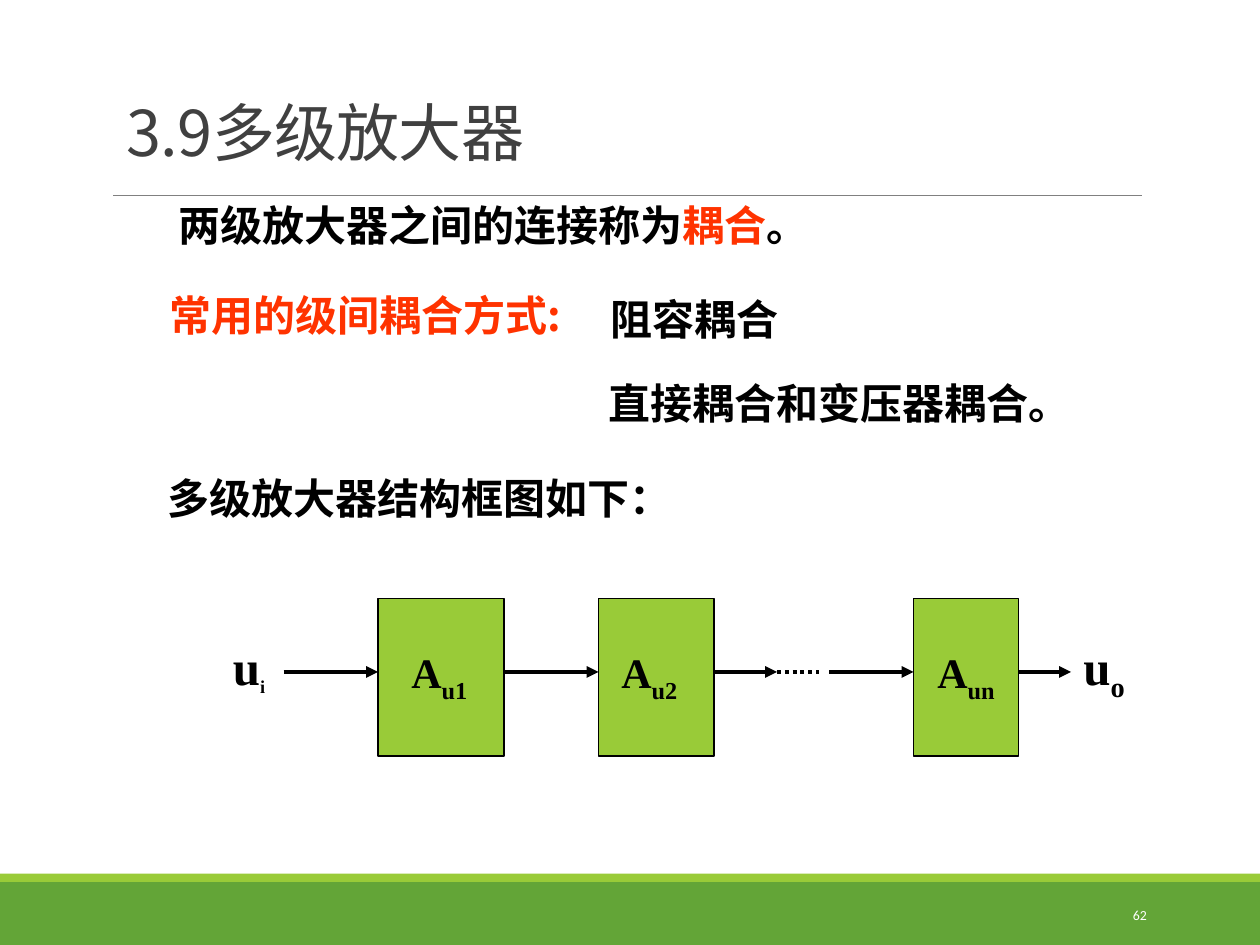
from dataclasses import dataclass

from lxml import etree
from pptx import Presentation
from pptx import util as u
from pptx.dml.color import RGBColor
from pptx.enum import dml, shapes, text
from pptx.oxml.ns import qn


@dataclass(frozen=True)
class Theme:
    cjk: str = "Noto Sans CJK SC"
    math: str = "Times New Roman"
    footer: str = "Calibri"
    ink: str = "000000"
    title: str = "404040"
    key: str = "FF3300"
    block: str = "99CB38"
    band: str = "63A537"
    rule: str = "808080"
    paper: str = "FFFFFF"
    title_pt: float = 36
    body_pt: float = 24
    signal_pt: float = 28
    small_pt: float = 18
    number_pt: float = 7.9


@dataclass(frozen=True)
class Box:
    """Area in grid columns and rows, twelve to the inch."""
    col: float
    row: float
    cols: float
    rows: float

    def area(self, col, row, cols, rows):
        return Box(self.col + col, self.row + row, cols, rows)

    def emu(self):
        return [u.Inches(v / 12) for v in (self.col, self.row, self.cols, self.rows)]


T = Theme()
PAGE = Box(0, 0, 120, 90)


def rgb(value):
    return RGBColor.from_string(value)


def style(r, font, size, color, bold=False):
    r.font.name, r.font.size, r.font.bold = font, u.Pt(size), bold
    r.font.color.rgb = rgb(color)
    ea = etree.Element(qn("a:ea"), typeface=font)
    r.font._element.find(qn("a:latin")).addnext(ea)


def add_rect(slide, box, fill, line=None):
    sp = slide.shapes.add_shape(shapes.MSO_SHAPE.RECTANGLE, *box.emu())
    sp.shadow.inherit = False
    sp.fill.solid()
    sp.fill.fore_color.rgb = rgb(fill)
    if line:
        sp.line.color.rgb = rgb(line)
        sp.line.width = u.Pt(0.75)
    else:
        sp.line.fill.background()


def add_line(slide, box, color, width, arrow=False, dash=None):
    x, y, w, h = box.emu()
    cn = slide.shapes.add_connector(shapes.MSO_CONNECTOR.STRAIGHT, x, y, x + w, y + h)
    cn.line.color.rgb = rgb(color)
    cn.line.width = u.Pt(width)
    if dash:
        cn.line.dash_style = dash
    props = cn._element.spPr
    if arrow:
        etree.SubElement(props.find(qn("a:ln")), qn("a:tailEnd"), type="triangle")
    etree.SubElement(props, qn("a:effectLst"))


def add_text(slide, box, runs, align=text.PP_ALIGN.LEFT, wrap=True, padded=True):
    """Each run is (text, font, size, color, bold); returns frame and runs."""
    tf = slide.shapes.add_textbox(*box.emu()).text_frame
    tf.word_wrap = wrap
    if not padded:
        tf.margin_left = tf.margin_top = tf.margin_right = tf.margin_bottom = 0
    p = tf.paragraphs[0]
    p.alignment = align
    for words, *look in runs:
        r = p.add_run()
        r.text = words
        style(r, *look)
    return tf, p.runs


def add_title(slide, box):
    title = slide.shapes.title
    title.left, title.top, title.width, title.height = box.emu()
    tf = title.text_frame
    tf.text = "3.9多级放大器"
    tf.vertical_anchor = text.MSO_ANCHOR.BOTTOM
    p = tf.paragraphs[0]
    p.alignment, p.line_spacing = text.PP_ALIGN.LEFT, 0.85
    style(p.runs[0], T.cjk, T.title_pt, T.title)
    p.runs[0].font._element.set("spc", "-40")


def add_footer(slide, box):
    add_rect(slide, box.area(0, 0.8, box.cols, 6), T.band)
    add_rect(slide, box.area(0, 0, box.cols, 0.8), T.block)
    tf, _ = add_text(slide, box.area(97.4, 1.5, 13, 4.8),
                     [("62", T.footer, T.number_pt, T.paper, False)],
                     text.PP_ALIGN.RIGHT)
    tf.vertical_anchor = text.MSO_ANCHOR.MIDDLE


def add_body(slide, box):
    lines = [
        ((2, 0, 60.6, 4.8), False,
         [("两级放大器之间的连接称为", T.ink), ("耦合", T.key), ("。", T.ink)]),
        ((0, 8, 40.8, 6), True, [("常用的级间耦合方式:", T.key)]),
        ((42, 8.4, 18.6, 6), True, [("阻容耦合", T.ink)]),
        ((43, 17, 44.4, 4.8), False, [("直接耦合和变压器耦合。", T.ink)]),
        ((1, 26, 48.5, 4.8), False, [("多级放大器结构框图如下：", T.ink)]),
    ]
    for place, padded, pieces in lines:
        runs = [(words, T.cjk, T.body_pt, color, True) for words, color in pieces]
        add_text(slide, box.area(*place), runs, wrap=False, padded=padded)


def add_symbol(slide, box, base, sub, size, sub_size=None, align=text.PP_ALIGN.LEFT):
    _, runs = add_text(slide, box, [(base, T.math, size, T.ink, True),
                                    (sub, T.math, sub_size or size, T.ink, True)], align)
    runs[1].font._element.set("baseline", "-25000")


def add_block_diagram(slide, box):
    left, centre = text.PP_ALIGN.LEFT, text.PP_ALIGN.CENTER
    stages = [  # block column and width, label offset and width
        ("u1", 15, 12, 2, 9, left),
        ("u2", 36, 11, 1, 10, left),
        ("un", 66, 10, 0, 10, centre),
    ]
    for sub, col, cols, shift, label_cols, align in stages:
        add_rect(slide, box.area(col, 0, cols, box.rows), T.block, T.ink)
        add_symbol(slide, box.area(col + shift, 4, label_cols, 6),
                   "A", sub, T.body_pt, align=align)

    for start, end in [(6, 15), (27, 36), (47, 53), (58, 66), (76, 81)]:
        add_line(slide, box.area(start, 7, end - start, 0), T.ink, 2.25, arrow=True)
    add_line(slide, box.area(53, 7, 4, 0), T.ink, 2.25,
             dash=dml.MSO_LINE.ROUND_DOT)

    add_symbol(slide, box.area(0, 3, 6, 6.8), "u", "i", T.signal_pt, T.small_pt)
    add_symbol(slide, box.area(81, 3, 8, 6.8), "u", "o", T.signal_pt)


def main():
    prs = Presentation()
    prs.slide_width, prs.slide_height = PAGE.emu()[2:]
    slide = prs.slides.add_slide(prs.slide_layouts[5])
    slide.background.fill.solid()
    slide.background.fill.fore_color.rgb = rgb(T.paper)

    add_footer(slide, PAGE.area(0, 83.2, 120, 6.8))
    add_line(slide, PAGE.area(10.8, 18.6, 98, 0), T.rule, 0.5)
    add_title(slide, PAGE.area(10.8, 3.7, 99, 13))
    add_body(slide, PAGE.area(15, 19, 90, 31))
    add_block_diagram(slide, PAGE.area(21, 57, 89, 15))
    prs.save("out.pptx")


if __name__ == "__main__":
    main()
